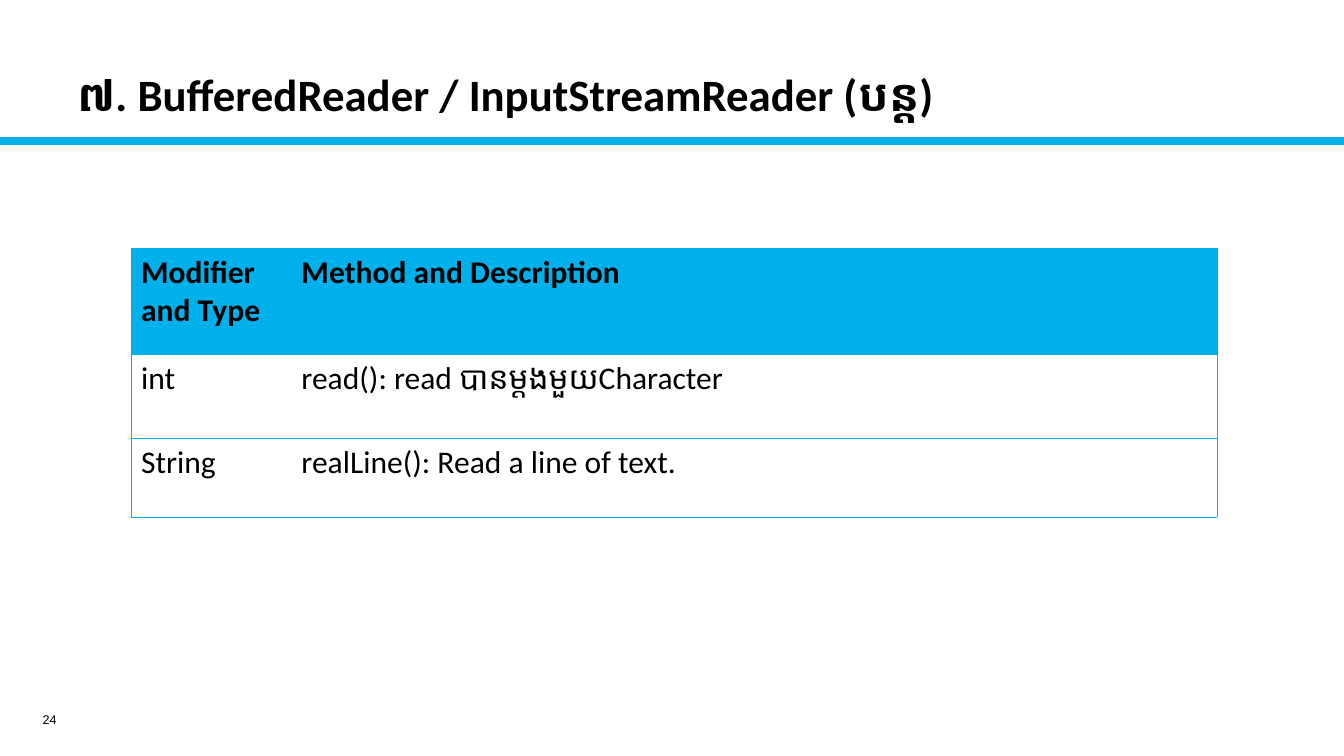
from lxml import etree
from pptx import Presentation
from pptx.dml.color import RGBColor
from pptx.enum.shapes import MSO_CONNECTOR
from pptx.enum.text import MSO_ANCHOR, PP_ALIGN
from pptx.oxml.ns import qn
from pptx.util import Inches, Pt

STRAIGHT = MSO_CONNECTOR.STRAIGHT
MIDDLE, BOTTOM = MSO_ANCHOR.MIDDLE, MSO_ANCHOR.BOTTOM
LEFT, RIGHT = PP_ALIGN.LEFT, PP_ALIGN.RIGHT

TITLE = "៧. BufferedReader / InputStreamReader (បន្ត)"
PAGE = "24"
METHODS = [
    ("Modifier and Type", "Method and Description"),
    ("int", "read(): read បានម្ដងមួយCharacter"),
    ("String", "realLine(): Read a line of text."),
]
COL_WIDTHS = [1.59, 9.18]
ROW_HEIGHTS = [1.06, 0.83, 0.78]
COLORS = {"accent": "00B0EA", "text": "000000"}


def rgb(name):
    return RGBColor.from_string(COLORS[name])


def add_run(p, text, size, font="Calibri", bold=False):
    r = p.add_run()
    r.text = text
    r.font.size = Pt(size)
    r.font.name = font
    r.font.bold = bold
    r.font.color.rgb = rgb("text")


def add_text(s, box, text, size, font, bold, align, anchor):
    tf = s.shapes.add_textbox(*map(Inches, box)).text_frame
    tf.word_wrap = True
    tf.vertical_anchor = anchor
    p = tf.paragraphs[0]
    p.alignment = align
    add_run(p, text, size, font, bold)
    return p


def add_border(cell, side, visible):
    ln = etree.SubElement(cell._tc.get_or_add_tcPr(), qn(f"a:ln{side}"), w=str(Pt(0.5)))
    if visible:
        fill = etree.SubElement(ln, qn("a:solidFill"))
        etree.SubElement(fill, qn("a:srgbClr"), val=COLORS["accent"])
    else:
        etree.SubElement(ln, qn("a:noFill"))


def add_methods(s):
    size = sum(COL_WIDTHS), sum(ROW_HEIGHTS)
    frame = s.shapes.add_table(len(METHODS), len(COL_WIDTHS),
                               *map(Inches, (1.3, 2.46, *size)))
    table = frame.table
    table.first_row = table.horz_banding = False
    for col, width in zip(table.columns, COL_WIDTHS):
        col.width = Inches(width)
    for row, height in zip(table.rows, ROW_HEIGHTS):
        row.height = Inches(height)
    last = len(COL_WIDTHS) - 1
    for i, texts in enumerate(METHODS):
        for j, text in enumerate(texts):
            cell = table.cell(i, j)
            sides = {"L": j == 0, "R": j == last, "T": True, "B": True}
            for side, visible in sides.items():
                add_border(cell, side, visible)
            if i == 0:
                cell.fill.solid()
                cell.fill.fore_color.rgb = rgb("accent")
            else:
                cell.fill.background()
            add_run(cell.text_frame.paragraphs[0], text, 22.5, bold=i == 0)


prs = Presentation()
prs.slide_width, prs.slide_height = Inches(13.33), Inches(7.5)
s = prs.slides.add_slide(prs.slide_layouts[6])

rule = s.shapes.add_connector(STRAIGHT, 0, Inches(1.4), prs.slide_width, Inches(1.4))
rule.line.color.rgb = rgb("accent")
rule.line.width = Pt(6)
etree.SubElement(rule._element.spPr, qn("a:effectLst"))

add_text(s, (0.09, 6.99, 0.57, 0.3), PAGE, 9, "Arial", False, RIGHT, MIDDLE)
title = add_text(s, (0.67, 0.14, 12.02, 1.11), TITLE, 32, "Calibri", True, LEFT, BOTTOM)
title.line_spacing = 0.9
add_methods(s)

prs.save("out.pptx")
